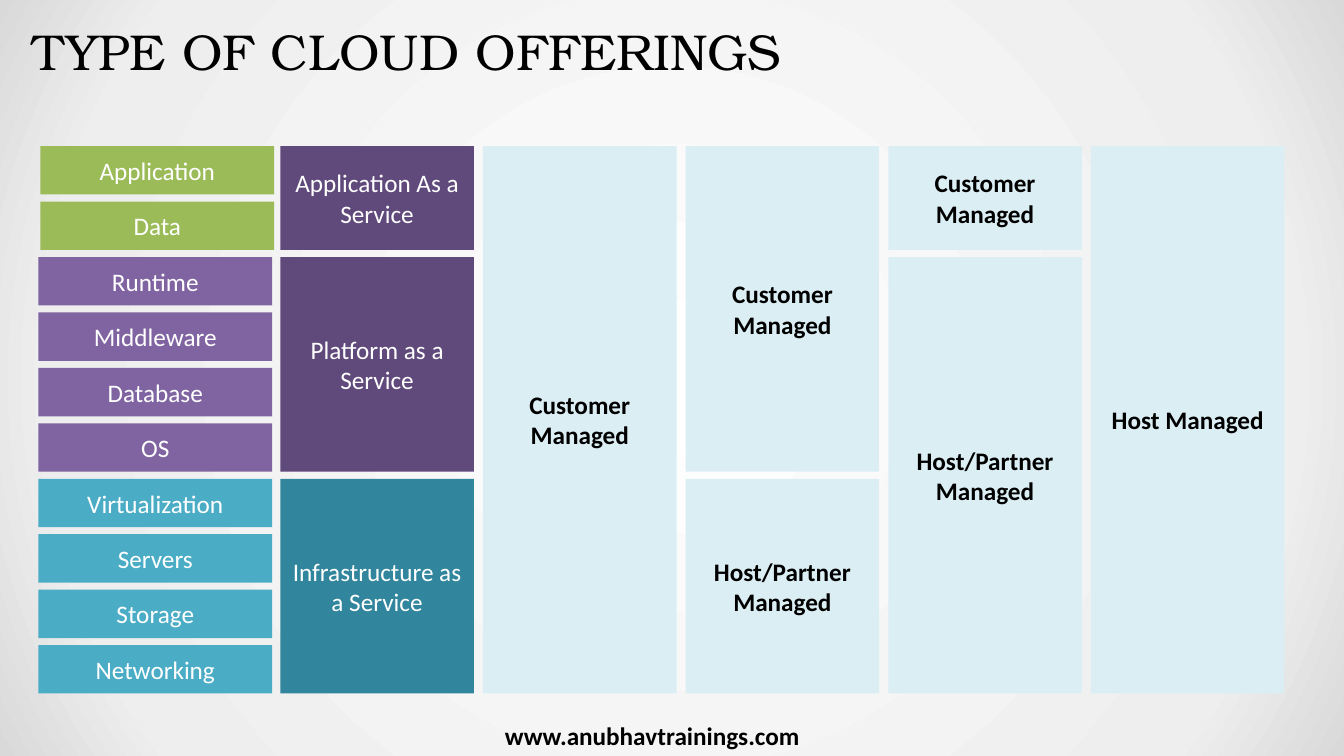
from pptx import Presentation
from pptx.dml.color import RGBColor
from pptx.enum.shapes import MSO_SHAPE
from pptx.enum.text import MSO_ANCHOR, PP_ALIGN
from pptx.oxml import parse_xml
from pptx.oxml.ns import nsdecls, qn
from pptx.util import Inches, Pt

BLACK = RGBColor(0x00, 0x00, 0x00)
WHITE = RGBColor(0xFF, 0xFF, 0xFF)
GREEN = RGBColor(0x9B, 0xBB, 0x59)
PURPLE = RGBColor(0x80, 0x64, 0xA2)
DARK_PURPLE = RGBColor(0x60, 0x4A, 0x7B)
TEAL = RGBColor(0x4B, 0xAC, 0xC6)
DARK_TEAL = RGBColor(0x31, 0x85, 0x9C)
PALE_BLUE = RGBColor(0xDB, 0xEE, 0xF4)

TOP, ROW_PITCH, ROW_GAP = 1.45, 0.55, 0.07
COLUMN_LEFT, COLUMN_PITCH, COLUMN_WIDTH = 2.78, 2.01, 1.92
LAYER_WIDTH = 2.32


def write(shape, text, size, font_name, color, bold=False):
    frame = shape.text_frame
    frame.word_wrap = True
    frame.text = text
    font = frame.paragraphs[0].runs[0].font
    font.size, font.name, font.bold = Pt(size), font_name, bold
    font.color.rgb = color
    return frame


def add_block(left, width, first_row, rows, fill, text, color, bold=False):
    block = page.shapes.add_shape(
        MSO_SHAPE.RECTANGLE, Inches(left), Inches(TOP + first_row * ROW_PITCH),
        Inches(width), Inches(rows * ROW_PITCH - ROW_GAP))
    block.shadow.inherit = False
    block.fill.solid()
    block.fill.fore_color.rgb = fill
    block.line.fill.background()
    frame = write(block, text, 18, "Calibri", color, bold)
    frame.vertical_anchor = MSO_ANCHOR.MIDDLE
    frame.paragraphs[0].alignment = PP_ALIGN.CENTER


deck = Presentation()
deck.slide_width, deck.slide_height = Inches(13.33), Inches(7.5)
page = deck.slides.add_slide(deck.slide_layouts[6])

# Radial background
page.background.fill.gradient()
gradient = page.element.find(".//" + qn("a:gradFill"))
gradient.getparent().replace(gradient, parse_xml(
    f'<a:gradFill {nsdecls("a")} rotWithShape="1"><a:gsLst>'
    '<a:gs pos="0"><a:srgbClr val="FFFFFF"/></a:gs>'
    '<a:gs pos="81000"><a:srgbClr val="EEEEEE"/></a:gs>'
    '<a:gs pos="100000"><a:srgbClr val="D9D9D9"/></a:gs></a:gsLst>'
    '<a:path path="circle">'
    '<a:fillToRect l="50000" t="50000" r="50000" b="50000"/>'
    '</a:path></a:gradFill>'))

# Title and web address
title = page.shapes.add_textbox(Inches(0.19), Inches(0.11), Inches(12), Inches(0.78))
frame = write(title, "TYPE OF CLOUD OFFERINGS", 36, "TeX Gyre Bonum", BLACK)
frame.vertical_anchor = MSO_ANCHOR.MIDDLE
frame.margin_left = frame.margin_right = Inches(0.13)
frame.margin_top = frame.margin_bottom = Inches(0.07)

address = page.shapes.add_textbox(Inches(4.91), Inches(7.1), Inches(3.88), Inches(0.4))
write(address, "www.anubhavtrainings.com", 18, "Calibri", BLACK, bold=True)

# Technology layers, one per row
layer_groups = [
    (0.4, GREEN, ["Application", "Data"]),
    (0.38, PURPLE, ["Runtime", "Middleware", "Database", "OS"]),
    (0.38, TEAL, ["Virtualization", "Servers", "Storage", "Networking"]),
]
row = 0
for left, fill, layers in layer_groups:
    for layer in layers:
        add_block(left, LAYER_WIDTH, row, 1, fill, layer, WHITE)
        row += 1

# Service models: first row, rows spanned, fill, name
services = [
    (0, 2, DARK_PURPLE, "Application As a Service"),
    (2, 4, DARK_PURPLE, "Platform as a Service"),
    (6, 4, DARK_TEAL, "Infrastructure as a Service"),
]
for first_row, rows, fill, service in services:
    add_block(COLUMN_LEFT, COLUMN_WIDTH, first_row, rows, fill, service, WHITE)

# Who manages what: column, first row, rows spanned, manager
responsibilities = [
    (1, 0, 10, "Customer Managed"),
    (2, 0, 6, "Customer Managed"),
    (2, 6, 4, "Host/Partner Managed"),
    (3, 0, 2, "Customer Managed"),
    (3, 2, 8, "Host/Partner Managed"),
    (4, 0, 10, "Host Managed"),
]
for column, first_row, rows, manager in responsibilities:
    add_block(COLUMN_LEFT + column * COLUMN_PITCH, COLUMN_WIDTH, first_row, rows,
              PALE_BLUE, manager, BLACK, bold=True)

deck.save("out.pptx")
